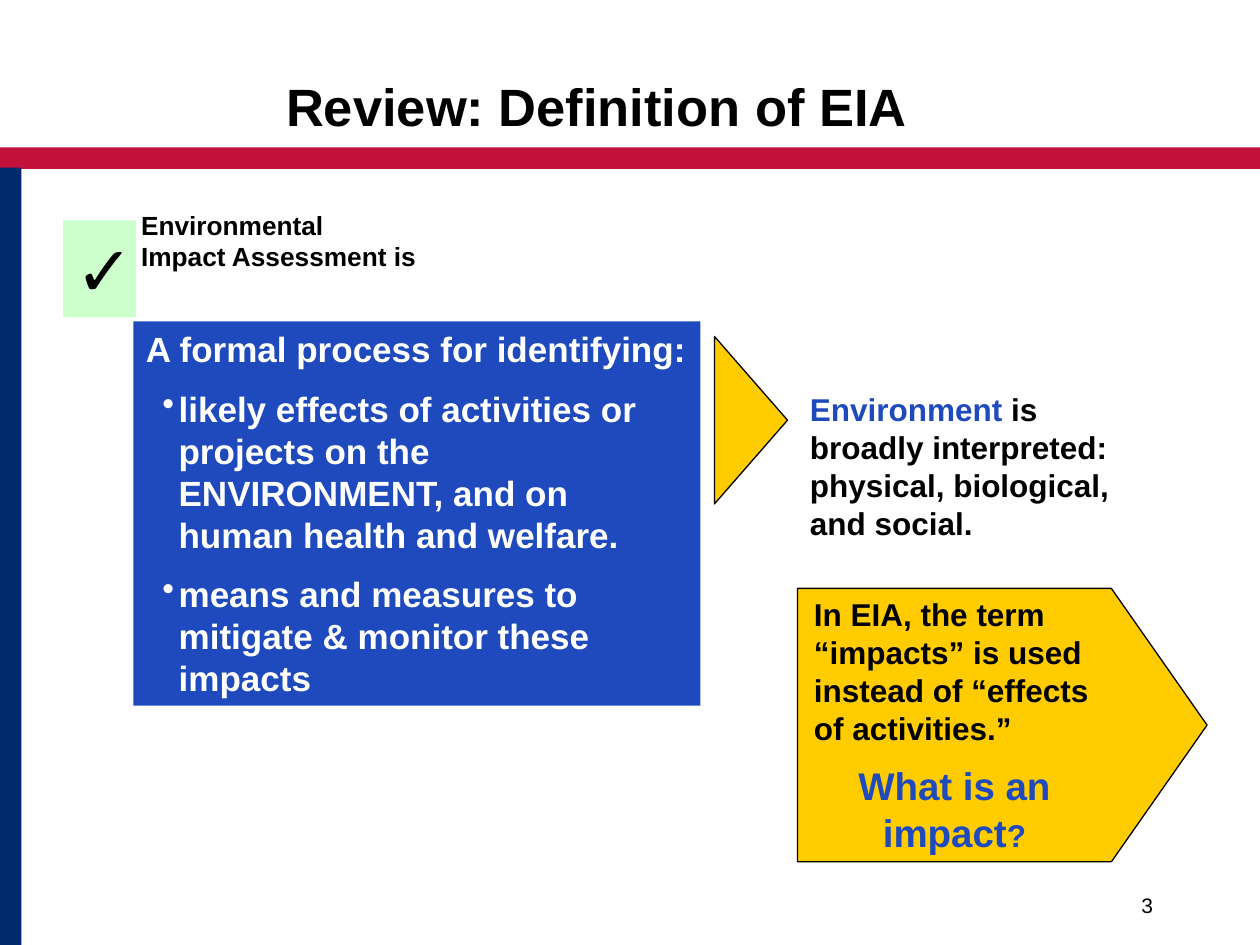
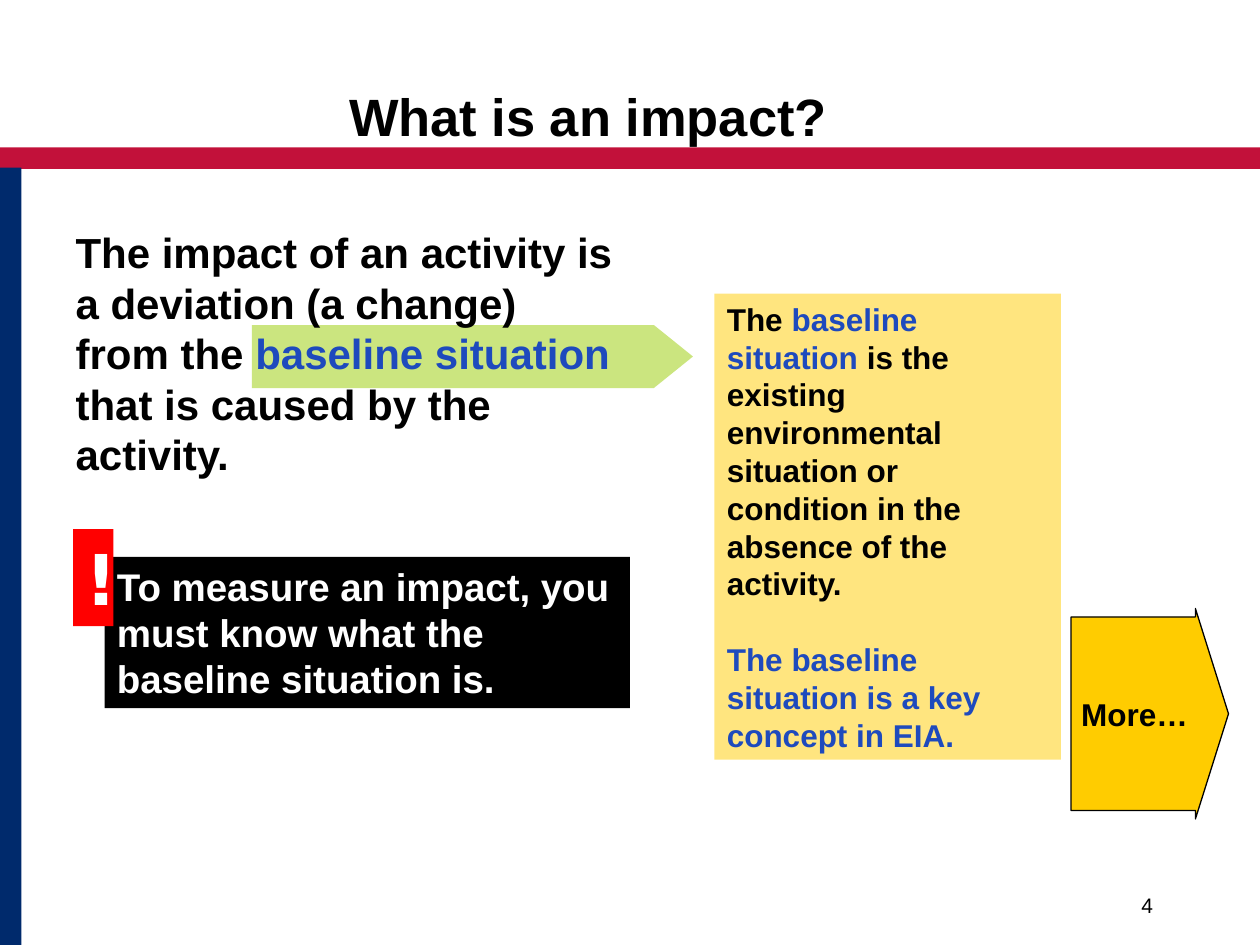
"""Build two slides that define environmental impact assessment and impact."""
from dataclasses import dataclass

from lxml.etree import SubElement
from pptx import Presentation
from pptx.dml.color import RGBColor
from pptx.enum.shapes import MSO_SHAPE
from pptx.enum.text import MSO_ANCHOR, MSO_AUTO_SIZE, PP_ALIGN
from pptx.oxml.ns import qn
from pptx.util import Inches, Pt

BLACK, WHITE = "000000", "FFFFFF"
RED_BAND, NAVY_BAND = "C2113A", "002A6C"
BLUE, GOLD, LIME = "1E4ABD", "FFCC00", "99CC00"
MINT, ALERT_RED = "CCFFCC", "FF0000"
LINE_HEIGHT = 1.2


@dataclass(frozen=True)
class Box:
    left: float
    top: float
    width: float
    height: float

    def lengths(self) -> tuple:
        return tuple(map(Inches, (self.left, self.top, self.width, self.height)))


@dataclass(frozen=True)
class Piece:
    text: str
    color: str = BLACK
    size: float = 0


@dataclass(frozen=True)
class Line:
    pieces: tuple
    size: float
    align: PP_ALIGN = PP_ALIGN.LEFT
    before: float = 0
    after: float = 0
    margin: float = 0
    bullet: bool = False
    bold: bool = True
    font: str = "Arial"


@dataclass(frozen=True)
class Panel:
    box: Box
    fill: str
    lines: tuple = ()
    opacity: int = 100
    arrow: tuple = ()
    inset: float = 0.1
    wrap: bool = True


def rgb(color: str) -> RGBColor:
    return RGBColor.from_string(color)


def write_line(paragraph, line: Line) -> None:
    properties = paragraph._p.get_or_add_pPr()
    properties.set("marL", str(Inches(line.margin)))
    properties.set("indent", str(Inches(-0.13 if line.bullet else 0)))
    if line.bullet:
        color = SubElement(properties, qn("a:buClr"))
        SubElement(color, qn("a:srgbClr"), val=WHITE)
        SubElement(properties, qn("a:buChar"), char="•")
    else:
        SubElement(properties, qn("a:buNone"))
    paragraph.alignment = line.align
    paragraph.line_spacing = Pt(line.size * LINE_HEIGHT)
    paragraph.space_before = Pt(line.before)
    paragraph.space_after = Pt(line.after)
    for piece in line.pieces:
        if piece.text == "\n":
            paragraph.add_line_break()
            continue
        run = paragraph.add_run()
        run.text = piece.text
        run.font.name = line.font
        run.font.size = Pt(piece.size or line.size)
        run.font.bold = line.bold
        run.font.color.rgb = rgb(piece.color)


def write_lines(shape, lines: tuple, anchor=MSO_ANCHOR.TOP, inset: float = 0.1,
                wrap: bool = True) -> None:
    text_frame = shape.text_frame
    text_frame.word_wrap = wrap
    text_frame.auto_size = MSO_AUTO_SIZE.NONE
    text_frame.vertical_anchor = anchor
    text_frame.margin_left = text_frame.margin_right = Inches(inset)
    text_frame.margin_top = text_frame.margin_bottom = Inches(0.05)
    for index, line in enumerate(lines):
        paragraph = text_frame.add_paragraph() if index else text_frame.paragraphs[0]
        write_line(paragraph, line)


def paint(shape, color: str, opacity: int = 100, outlined: bool = False) -> None:
    shape.shadow.inherit = False
    shape.fill.solid()
    shape.fill.fore_color.rgb = rgb(color)
    if opacity < 100:
        fill_color = next(shape.element.spPr.iter(qn("a:srgbClr")))
        SubElement(fill_color, qn("a:alpha"), val=str(opacity * 1000))
    if outlined:
        shape.line.color.rgb = rgb(BLACK)
        shape.line.width = Pt(0.75)
    else:
        shape.line.fill.background()


def add_panel(slide, panel: Panel) -> None:
    kind = MSO_SHAPE.RIGHT_ARROW if panel.arrow else MSO_SHAPE.RECTANGLE
    shape = slide.shapes.add_shape(kind, *panel.box.lengths())
    for index, value in enumerate(panel.arrow):
        shape.adjustments[index] = value
    paint(shape, panel.fill, panel.opacity, outlined=bool(panel.arrow))
    if panel.lines:
        anchor = MSO_ANCHOR.MIDDLE if panel.arrow else MSO_ANCHOR.TOP
        write_lines(shape, panel.lines, anchor, panel.inset, panel.wrap)


def add_text(slide, box: Box, line: Line, anchor=MSO_ANCHOR.TOP) -> None:
    write_lines(slide.shapes.add_textbox(*box.lengths()), (line,), anchor)


def fill_placeholder(shape, box: Box, line: Line, anchor=MSO_ANCHOR.TOP) -> None:
    shape.left, shape.top, shape.width, shape.height = box.lengths()
    write_lines(shape, (line,), anchor)


def add_base_slide(presentation, number: int, title: str, title_box: Box,
                   body: Line, body_box: Box):
    slide = presentation.slides.add_slide(presentation.slide_layouts[1])
    title_line = Line((Piece(title),), 30)
    fill_placeholder(slide.shapes.title, title_box, title_line, MSO_ANCHOR.MIDDLE)
    fill_placeholder(slide.placeholders[1], body_box, body)
    add_panel(slide, Panel(Box(0, 1.17, 10, 0.17), RED_BAND))
    add_panel(slide, Panel(Box(0, 1.33, 0.17, 6.17), NAVY_BAND))
    number_line = Line((Piece(str(number)),), 12, PP_ALIGN.RIGHT, bold=False)
    add_text(slide, Box(7.17, 6.83, 2.08, 0.5), number_line, MSO_ANCHOR.BOTTOM)
    return slide


def add_definition_slide(presentation) -> None:
    body = Line((Piece("Environmental"), Piece("\n"), Piece("Impact Assessment is")),
                15, margin=0.38)
    slide = add_base_slide(presentation, 3, "Review: Definition of EIA",
                           Box(2.17, 0.5, 6.33, 0.67), body,
                           Box(0.64, 1.61, 5.33, 0.67))
    purposes = (
        "likely effects of activities or projects on the ENVIRONMENT, "
        "and on human health and welfare.",
        "means and measures to mitigate & monitor these impacts",
    )
    process = (
        Line((Piece("A formal process for identifying:", WHITE),), 20, after=10),
        *(Line((Piece(purpose, WHITE),), 20, after=10, margin=0.26, bullet=True)
          for purpose in purposes),
    )
    term = (
        Line((Piece("In EIA, the term “impacts” is used instead of "
                    "“effects of activities.”"),), 18, after=9),
        Line((Piece("What is an impact", BLUE), Piece("?", BLUE, 18)), 22,
             PP_ALIGN.CENTER),
    )
    panels = (
        Panel(Box(6.33, 4.67, 3.25, 2.17), GOLD, term, arrow=(1, 0.35), inset=0.13),
        Panel(Box(1.06, 2.55, 4.5, 3.05), BLUE, process),
        Panel(Box(0.5, 1.75, 0.58, 0.77), MINT, (Line((Piece("✓"),), 40),)),
        Panel(Box(5.67, 2.67, 0.58, 1.33), GOLD, arrow=(0.62, 1)),
    )
    for panel in panels:
        add_panel(slide, panel)
    environment = Line((Piece("Environment ", BLUE),
                        Piece("is broadly interpreted: physical, biological, "
                              "and social.")), 18)
    add_text(slide, Box(6.33, 3.05, 2.67, 1.5), environment)


def add_baseline_marker(slide) -> None:
    corners = ((5.19, 2.58), (5.5, 2.83), (5.19, 3.08), (2, 3.08))
    builder = slide.shapes.build_freeform(Inches(2), Inches(2.58))
    builder.add_line_segments([(Inches(x), Inches(y)) for x, y in corners])
    marker = builder.convert_to_shape()
    paint(marker, LIME, opacity=50)
    slide.shapes.title.element.addprevious(marker.element)


def add_impact_slide(presentation) -> None:
    body = Line((Piece("The impact of an activity is a deviation (a change) from the "),
                 Piece("baseline situation", BLUE),
                 Piece(" that is caused by the activity.")), 24)
    slide = add_base_slide(presentation, 4, "What is an impact?",
                           Box(2.67, 0.58, 5.83, 0.67), body,
                           Box(0.5, 1.75, 4.5, 2.17))
    add_baseline_marker(slide)
    measure = Line((Piece("To measure an impact, you must know what the "
                          "baseline situation is.", WHITE),), 22)
    baseline = (
        Line((Piece("The "), Piece("baseline situation", BLUE),
              Piece(" is the existing environmental situation or condition "
                    "in the absence of the activity.")), 18),
        Line((Piece("The baseline situation is a key concept in EIA.", BLUE),), 18,
             before=18 * LINE_HEIGHT),
    )
    warning = Line((Piece("!", WHITE),), 40, font="DejaVu Sans")
    more = Line((Piece("More…"),), 18, PP_ALIGN.CENTER)
    panels = (
        Panel(Box(0.83, 4.42, 4.17, 1.2), BLACK, (measure,)),
        Panel(Box(0.58, 4.2, 0.32, 0.77), ALERT_RED, (warning,)),
        Panel(Box(5.67, 2.33, 2.75, 3.7), GOLD, baseline, opacity=50),
        Panel(Box(8.5, 4.83, 1.25, 1.67), GOLD, (more,), arrow=(0.92, 0.21),
              wrap=False),
    )
    for panel in panels:
        add_panel(slide, panel)


def main() -> None:
    presentation = Presentation()
    presentation.slide_width, presentation.slide_height = Inches(10), Inches(7.5)
    add_definition_slide(presentation)
    add_impact_slide(presentation)
    presentation.save("out.pptx")


if __name__ == "__main__":
    main()
